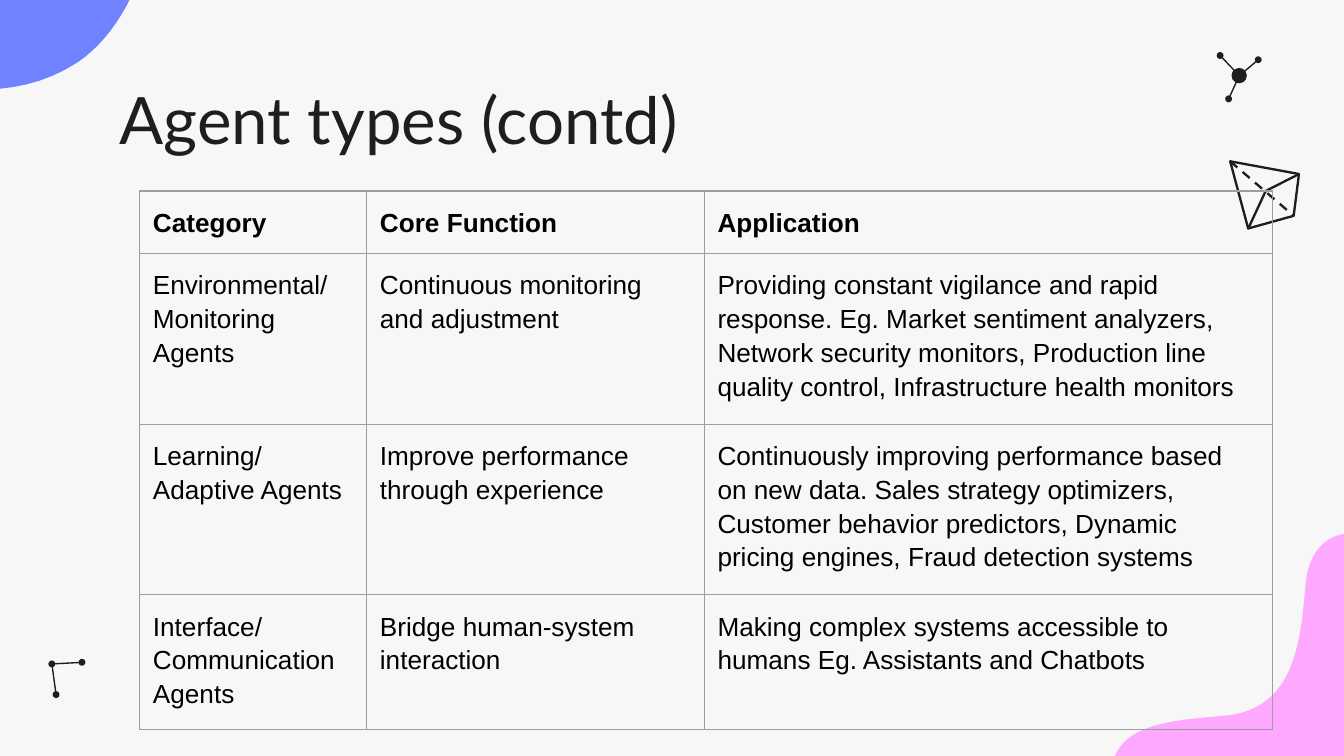
from lxml import etree
from pptx import Presentation
from pptx.dml.color import RGBColor
from pptx.enum.dml import MSO_LINE
from pptx.enum.shapes import MSO_CONNECTOR, MSO_SHAPE
from pptx.enum.text import MSO_ANCHOR
from pptx.oxml.ns import qn
from pptx.util import Cm, Pt

STRAIGHT = MSO_CONNECTOR.STRAIGHT
OVAL = MSO_SHAPE.OVAL
TOP = MSO_ANCHOR.TOP
DASH = MSO_LINE.DASH

INK = "1F1E1E"
PAPER = "F7F7F7"
BORDER = "9E9E9E"
INSET = Cm(0.25)

BLOB_START = (6.63, 3.23)
BLOB_CURVES = [
    ((6.58, 2.24), (6.27, 1.32), (5.74, 0.84)),
    ((4.80, 0.00), (3.89, 0.25), (3.78, 1.24)),
    ((3.68, 2.26), (3.63, 3.66), (2.24, 3.78)),
    ((0.99, 3.89), (0.00, 3.96), (0.08, 5.18)),
    ((0.08, 5.36), (0.10, 5.56), (0.18, 5.79)),
    ((0.61, 7.47), (3.28, 8.53), (5.11, 7.32)),
    ((6.22, 6.55), (6.73, 4.78), BLOB_START),
]

COLUMN_WIDTHS = [4.29, 6.38, 10.74]
ROW_HEIGHTS = [1.15, 3.06, 3.06, 2.42]
AGENT_ROWS = [
    ("Category", "Core Function", "Application"),
    ("Environmental/Monitoring Agents",
     "Continuous monitoring and adjustment",
     "Providing constant vigilance and rapid response. Eg. Market sentiment analyzers, "
     "Network security monitors, Production line quality control, "
     "Infrastructure health monitors"),
    ("Learning/Adaptive Agents",
     "Improve performance through experience",
     "Continuously improving performance based on new data. Sales strategy optimizers, "
     "Customer behavior predictors, Dynamic pricing engines, Fraud detection systems"),
    ("Interface/Communication Agents",
     "Bridge human-system interaction",
     "Making complex systems accessible to humans Eg. Assistants and Chatbots"),
]


def color(value):
    return RGBColor.from_string(value)


def write_text(text_frame, text, font="Arial", size=14, ink="000000", bold=False, spacing=1.0):
    text_frame.word_wrap = True
    paragraph = text_frame.paragraphs[0]
    paragraph.line_spacing = spacing
    run = paragraph.add_run()
    run.text = text
    run.font.name = font
    run.font.size = Pt(size)
    run.font.bold = bold
    run.font.color.rgb = color(ink)


def fill_shape(shape, value):
    shape.shadow.inherit = False
    shape.fill.solid()
    shape.fill.fore_color.rgb = color(value)
    shape.line.fill.background()


def add_line(slide, start, end, width, dash=None):
    line = slide.shapes.add_connector(STRAIGHT, *(Cm(value) for value in (*start, *end)))
    line.line.color.rgb = color(INK)
    line.line.width = Pt(width)
    if dash is not None:
        line.line.dash_style = dash
    etree.SubElement(line._element.spPr, qn("a:effectLst"))


def curve_points(start, curves, steps=24):
    points = [start]
    for first, second, end in curves:
        for step in range(1, steps + 1):
            t = step / steps
            u = 1 - t
            points.append(tuple(
                u**3 * a + 3 * u * u * t * b + 3 * u * t * t * c + t**3 * d
                for a, b, c, d in zip(start, first, second, end)))
        start = end
    return points


def add_polygon(slide, left, top, points):
    placed = [(Cm(left + x), Cm(top + y)) for x, y in points]
    builder = slide.shapes.build_freeform(*placed[0])
    builder.add_line_segments(placed[1:], close=True)
    return builder.convert_to_shape()


def add_blob(slide, left, top, value):
    blob = add_polygon(slide, left, top, curve_points(BLOB_START, BLOB_CURVES))
    fill_shape(blob, value)


def add_network(slide, left, top, hub, hub_size, ends):
    center = (left + hub[0], top + hub[1])
    nodes = [(center, hub_size)]
    for x, y in ends:
        end = (left + x, top + y)
        add_line(slide, center, end, 0.75)
        nodes.append((end, 0.13))
    for (x, y), size in nodes:
        node = slide.shapes.add_shape(
            OVAL, Cm(x - size / 2), Cm(y - size / 2), Cm(size), Cm(size))
        fill_shape(node, INK)


def add_crystal(slide, left, top):
    corners = [(0.03, 0.03), (1.33, 0.27), (1.23, 1.06), (0.37, 1.30)]
    outline = add_polygon(slide, left, top, corners)
    outline.shadow.inherit = False
    outline.fill.background()
    outline.line.color.rgb = color(INK)
    outline.line.width = Pt(1.25)
    back, right, front, bottom = [(left + x, top + y) for x, y in corners]
    ridge = (left + 0.70, top + 0.59)
    add_line(slide, right, ridge, 1.25)
    add_line(slide, ridge, bottom, 1.25)
    add_line(slide, back, front, 1.25, DASH)


def add_title(slide, left, top, width, height):
    box = slide.shapes.add_textbox(Cm(left), Cm(top), Cm(width), Cm(height))
    frame = box.text_frame
    frame.vertical_anchor = TOP
    frame.margin_left = frame.margin_right = INSET
    frame.margin_top = frame.margin_bottom = INSET
    write_text(frame, "Agent types (contd)", font="Lato", size=35, ink=INK)


def set_borders(cell):
    properties = cell._tc.get_or_add_tcPr()
    for position, side in enumerate(("lnL", "lnR", "lnT", "lnB")):
        border = etree.Element(qn(f"a:{side}"), w=str(Pt(0.75)))
        fill = etree.SubElement(border, qn("a:solidFill"))
        etree.SubElement(fill, qn("a:srgbClr"), val=BORDER)
        properties.insert(position, border)


def add_agent_table(slide, left, top):
    frame = slide.shapes.add_table(
        len(ROW_HEIGHTS), len(COLUMN_WIDTHS), Cm(left), Cm(top),
        Cm(sum(COLUMN_WIDTHS)), Cm(sum(ROW_HEIGHTS)))
    table = frame.table
    table.first_row = False
    table.horz_banding = False
    for column, width in zip(table.columns, COLUMN_WIDTHS):
        column.width = Cm(width)
    for row_index, (row, height) in enumerate(zip(table.rows, ROW_HEIGHTS)):
        row.height = Cm(height)
        for cell, text in zip(row.cells, AGENT_ROWS[row_index]):
            cell.fill.background()
            cell.vertical_anchor = TOP
            cell.margin_left = cell.margin_right = INSET
            cell.margin_top = cell.margin_bottom = INSET
            write_text(cell.text_frame, text, bold=row_index == 0, spacing=1.15)
            set_borders(cell)


def main():
    presentation = Presentation()
    presentation.slide_width = Cm(25.4)
    presentation.slide_height = Cm(14.29)
    slide = presentation.slides.add_slide(presentation.slide_layouts[6])
    slide.background.fill.solid()
    slide.background.fill.fore_color.rgb = color(PAPER)
    add_blob(slide, 20.90, 9.75, "FFA8FF")
    add_blob(slide, -3.63, -6.15, "7082FF")
    add_network(slide, 22.99, 0.99, (0.43, 0.44), 0.29,
                [(0.07, 0.06), (0.79, 0.14), (0.23, 0.88)])
    add_network(slide, 0.91, 12.45, (0.07, 0.10), 0.13, [(0.64, 0.07), (0.15, 0.68)])
    add_crystal(slide, 23.22, 3.02)
    add_title(slide, 2.01, 1.24, 21.41, 1.60)
    add_agent_table(slide, 2.64, 3.61)
    presentation.save("out.pptx")


if __name__ == "__main__":
    main()
